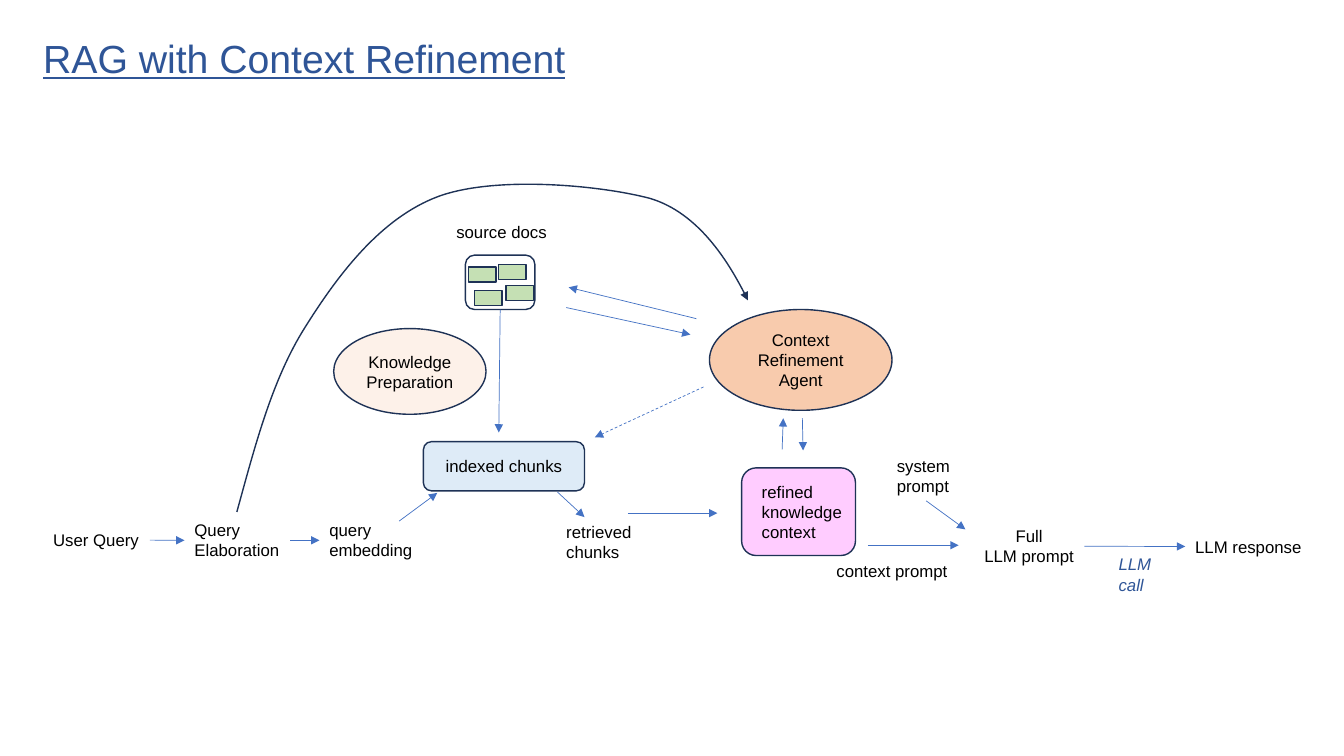
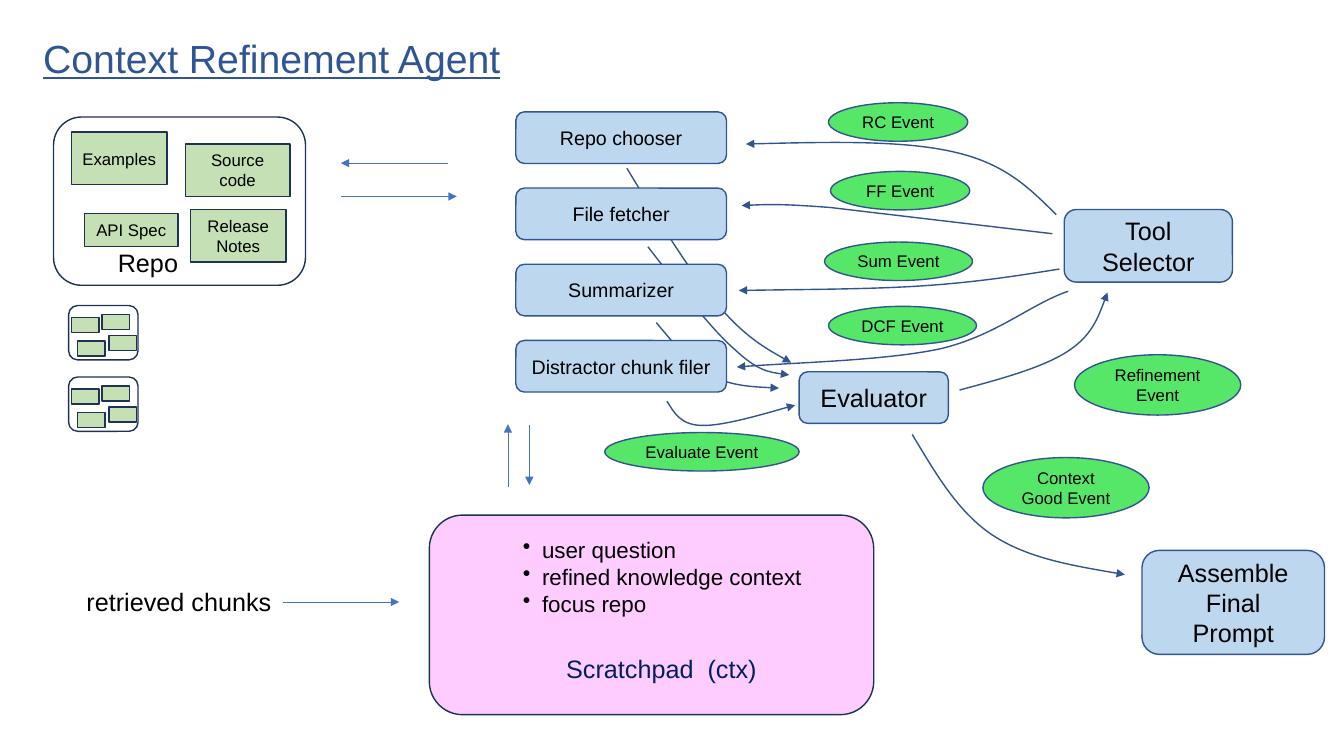
from lxml.etree import SubElement
from pptx import Presentation
from pptx.dml.color import RGBColor
from pptx.enum.dml import MSO_LINE
from pptx.enum.shapes import MSO_CONNECTOR, MSO_SHAPE as Preset
from pptx.enum.text import MSO_ANCHOR as Anchor, MSO_AUTO_SIZE as AutoSize, PP_ALIGN as Align
from pptx.oxml.ns import qn
from pptx.util import Cm, Pt

# Shared look
FONT = "Arial"
BLACK, NAVY, BLUE, ARROW, TITLE = "000000", "1E3256", "325491", "4472C4", "2F5597"
PINK, GREEN, SKY, EVENT = "FFCCFF", "C5E0B4", "BDD7EE", "57E768"
BOTTOM, LEFT, RIGHT = 2, 1, 3
ROUND, OVAL, RECT = Preset.ROUNDED_RECTANGLE, Preset.OVAL, Preset.RECTANGLE

# A small document stack: frame size, page size, page offsets (cm)
STACK_SIZE, PAGE_SIZE = (1.75, 1.37), (0.69, 0.38)
PAGE_OFFSETS = [(0.84, 0.23), (0.23, 0.89), (0.08, 0.3), (1.02, 0.76)]

# Slide 1: text, box (left, top, width, height in cm), format
FLOW_LABELS = [
    ("User Query", (1.09, 13.23, 2.69, 0.76), {}),
    ("Query\nElaboration", (4.65, 12.98, 2.67, 1.27), {}),
    ("query\nembedding", (8.05, 12.98, 2.62, 1.27), {}),
    ("retrieved\nchunks", (14.02, 13.03, 2.16, 1.27), {}),
    ("source docs", (11.25, 5.46, 2.82, 0.76), {}),
    ("Full\nLLM prompt", (24.54, 13.13, 2.79, 1.27), {"align": Align.CENTER}),
    ("system\nprompt", (22.35, 11.35, 1.98, 1.27), {}),
    ("LLM response", (29.87, 13.39, 3.2, 0.76), {}),
    ("context prompt", (20.83, 14, 3.33, 0.76), {}),
    ("LLM\ncall", (27.94, 13.84, 1.35, 1.27), {"color": TITLE, "italic": True}),
]
FLOW_SHAPES = [
    (ROUND, "indexed chunks", (10.67, 11.13, 4.06, 1.24), "DEEBF7", {}),
    (ROUND, "refined\nknowledge\ncontext", (18.69, 11.79, 2.87, 2.21), PINK,
     {"align": Align.LEFT, "margin": 0.4}),
    (OVAL, "Knowledge\nPreparation", (8.41, 8.28, 3.84, 2.16), "FDF1E9", {}),
    (OVAL, "Context\nRefinement\nAgent", (17.88, 7.8, 4.6, 2.54), "F8CBAD", {}),
]
FLOW_STACK = (11.73, 6.43)
# An arrow end is a point, or a part's text and the side it joins
FLOW_ARROWS = [
    (("User Query", RIGHT), ("Query\nElaboration", LEFT)),
    (("Query\nElaboration", RIGHT), ("query\nembedding", LEFT)),
    ((10.06, 13.13), (11.02, 12.42)),
    ((14.05, 12.4), (14.73, 13.03)),
    (("system\nprompt", BOTTOM), (24.33, 13.34)),
    (("Full\nLLM prompt", RIGHT), ("LLM response", LEFT)),
    (("stack", BOTTOM), (12.57, 10.9)),
    ((17.55, 8.03), (14.33, 7.24)),
    ((14.27, 7.75), (17.4, 8.43)),
    ((15.82, 12.93), (18.08, 12.93)),
    ((19.71, 11.33), (19.74, 10.54)),
    ((20.22, 10.54), (20.24, 11.35)),
    ((21.87, 13.74), (24.16, 13.74)),
]
HINT_ARROW = ((17.73, 9.75), (14.99, 11.02))
# Curves: start, then two control points and an end for each section
QUERY_CURVE = [(5.97, 12.9), (6.43, 11.23), (6.86, 9.55), (7.7, 8.23),
               (8.53, 6.91), (9.6, 5.49), (11.05, 4.95),
               (12.5, 4.42), (15.14, 4.67), (16.38, 5),
               (17.6, 5.36), (18.47, 6.78), (18.85, 7.57)]

# Slide 2
TOOLS = ["Repo chooser", "File fetcher", "Summarizer", "Distractor chunk filer"]
TOOL_LEFT, TOOL_TOP, TOOL_STEP, TOOL_SIZE = 13, 2.82, 1.92, (5.31, 1.3)
STAGES = [
    ("Evaluator", (20.14, 9.37, 3.76, 1.3)),
    ("Tool\nSelector", (26.82, 5.28, 4.24, 1.83)),
    ("Assemble\nFinal\nPrompt", (28.78, 13.87, 4.6, 2.62)),
]
EVENTS = [
    ("RC Event", (20.88, 2.59, 3.51, 0.97)),
    ("FF Event", (20.93, 4.32, 3.51, 0.97)),
    ("Sum Event", (20.78, 6.1, 3.73, 0.97)),
    ("DCF Event", (20.88, 7.72, 3.73, 0.97)),
    ("Evaluate Event", (15.24, 10.9, 4.9, 0.97)),
    ("Refinement\nEvent", (27.08, 8.94, 4.19, 1.52)),
    ("Context\nGood Event", (24.77, 11.53, 4.19, 1.52)),
]
REPO_BOX = (1.35, 2.95, 6.35, 4.24)
REPO_DOCS = [
    ("API Spec", (2.13, 5.38, 2.36, 0.84)),
    ("Release\nNotes", (4.8, 5.28, 2.41, 1.32)),
    ("Examples", (1.8, 3.33, 2.41, 1.32)),
    ("Source\ncode", (4.67, 3.63, 2.64, 1.32)),
]
REPO_STACKS = [(1.73, 7.7), (1.73, 9.5)]
SCRATCHPAD_BOX = (10.82, 12.98, 11.2, 5.03)
SCRATCHPAD_ITEMS = "user question\nrefined knowledge context\nfocus repo"
AGENT_LABELS = [
    (SCRATCHPAD_ITEMS, (12.93, 13.39, 8, 2.31), {"size": 16, "bullet": "•", "wrap": True}),
    ("Scratchpad  (ctx)", (14.02, 16.33, 5.36, 1.02), {"size": 18, "color": "002060"}),
    ("retrieved chunks", (1.93, 14.66, 5.21, 1.02), {"size": 18}),
    ("Repo", (2.72, 6.1, 2.06, 1.02), {"size": 18}),
]
AGENT_ARROWS = [
    (("retrieved chunks", RIGHT), (10.06, 15.17)),
    ((12.8, 12.27), (12.8, 10.69)),
    ((13.34, 10.72), (13.34, 12.22)),
    ((11.3, 4.11), (8.59, 4.11)),
    ((8.59, 4.95), (11.51, 4.95)),
]
EVALUATE_CURVES = [
    [(16.81, 10.11), (16.99, 10.41), (17.17, 10.72), (17.7, 10.72),
     (18.24, 10.74), (19.66, 10.31), (20.04, 10.21)],
    [(16.54, 8.13), (16.99, 8.66), (17.42, 9.22), (17.93, 9.47),
     (18.47, 9.75), (19.63, 9.78), (19.63, 9.78)],
    [(16.33, 6.22), (17.12, 7.24), (17.91, 8.28), (18.52, 8.81),
     (19.1, 9.35), (19.51, 9.4), (19.89, 9.45)],
    [(15.8, 4.24), (16.59, 5.56), (17.4, 6.86), (18.08, 7.67),
     (18.77, 8.48), (19.35, 8.81), (19.94, 9.14)],
]
EVENT_CURVES = [
    [(24.18, 9.83), (25.22, 9.55), (26.26, 9.27), (26.9, 8.86),
     (27.51, 8.46), (27.71, 7.92), (27.91, 7.37)],
    [(26.62, 5.41), (25.98, 4.78), (25.37, 4.14), (24.08, 3.84),
     (22.78, 3.53), (20.8, 3.58), (18.8, 3.63)],
    [(26.52, 5.89), (24.66, 5.67), (22.79, 5.45), (20.93, 5.23),
     (19.63, 5.13), (19.18, 5.16), (18.69, 5.18)],
    [(26.7, 6.78), (25.76, 6.93), (24.79, 7.09), (23.44, 7.19),
     (22.1, 7.29), (20.37, 7.29), (18.62, 7.32)],
    [(26.92, 7.34), (25.96, 7.67), (25.1, 8.46), (23.7, 8.79),
     (22.3, 9.09), (19.81, 9.14), (18.57, 9.25)],
    [(22.99, 10.95), (23.57, 11.91), (24.13, 12.9), (25.02, 13.49),
     (25.91, 14.07), (27.13, 14.27), (28.35, 14.48)],
]


def rgb(color):
    return RGBColor.from_string(color)


def write(frame, text, size=12, color=BLACK, align=Align.LEFT, italic=False,
          underline=False, bullet=None):
    """Fill a text frame, one paragraph a line."""
    for number, line in enumerate(text.split("\n")):
        paragraph = frame.add_paragraph() if number else frame.paragraphs[0]
        paragraph.alignment = align
        run = paragraph.add_run()
        run.text = line
        font = run.font
        font.name, font.size, font.color.rgb = FONT, Pt(size), rgb(color)
        font.italic, font.underline = italic, underline
        if bullet:
            properties = paragraph._p.get_or_add_pPr()
            properties.set("marL", str(Cm(0.48)))
            properties.set("indent", str(-Cm(0.48)))
            SubElement(properties, qn("a:buChar")).set("char", bullet)


def add_label(slide, text, box, wrap=False, **style):
    shape = slide.shapes.add_textbox(*map(Cm, box))
    shape.text_frame.word_wrap = wrap
    shape.text_frame.auto_size = AutoSize.SHAPE_TO_FIT_TEXT
    write(shape.text_frame, text, **style)
    return shape


def add_box(shapes, preset, box, fill=None, line=NAVY, text="", margin=0.1,
            align=Align.CENTER, **style):
    shape = shapes.add_shape(preset, *map(Cm, box))
    shape.shadow.inherit = False
    if fill:
        shape.fill.solid()
        shape.fill.fore_color.rgb = rgb(fill)
    else:
        shape.fill.background()
    shape.line.color.rgb, shape.line.width = rgb(line), Pt(1)
    if text:
        frame = shape.text_frame
        frame.word_wrap, frame.vertical_anchor = True, Anchor.MIDDLE
        frame.margin_left, frame.margin_right = Cm(margin), Cm(0.1)
        write(frame, text, align=align, **style)
    return shape


def add_stack(slide, origin):
    """Draw a rounded frame with four small pages, as one group."""
    left, top = origin
    shapes = slide.shapes.add_group_shape().shapes
    frame = add_box(shapes, ROUND, (*origin, *STACK_SIZE))
    for across, down in PAGE_OFFSETS:
        add_box(shapes, RECT, (left + across, top + down, *PAGE_SIZE), GREEN)
    return frame


def add_arrowhead(shape):
    outline = shape._element.spPr.find(qn("a:ln"))
    SubElement(outline, qn("a:tailEnd")).set("type", "triangle")


def add_arrow(slide, begin, end, parts, dashed=False):
    joined = [point[0] in parts for point in (begin, end)]
    points = [(0, 0) if is_joined else point
              for is_joined, point in zip(joined, (begin, end))]
    connector = slide.shapes.add_connector(
        MSO_CONNECTOR.STRAIGHT, *(Cm(value) for point in points for value in point))
    if joined[0]:
        connector.begin_connect(parts[begin[0]], begin[1])
    if joined[1]:
        connector.end_connect(parts[end[0]], end[1])
    connector.line.color.rgb, connector.line.width = rgb(ARROW), Pt(0.5)
    if dashed:
        connector.line.dash_style = MSO_LINE.DASH
    add_arrowhead(connector)
    SubElement(connector._element.spPr, qn("a:effectLst"))


def add_curve(slide, points, color=BLUE):
    """Draw a freeform, then turn each three of its points into a Bézier section."""
    start, *others = [(Cm(x), Cm(y)) for x, y in points]
    builder = slide.shapes.build_freeform(*start)
    builder.add_line_segments(others, close=False)
    shape = builder.convert_to_shape()
    shape.shadow.inherit = False
    shape.fill.background()
    shape.line.color.rgb, shape.line.width = rgb(color), Pt(1)
    add_arrowhead(shape)
    outline = next(shape._element.iter(qn("a:path")))
    segments = outline.findall(qn("a:lnTo"))
    for first in range(0, len(segments), 3):
        section = SubElement(outline, qn("a:cubicBezTo"))
        for segment in segments[first:first + 3]:
            section.append(segment[0])
            outline.remove(segment)


def add_slide(presentation, title, width):
    slide = presentation.slides.add_slide(presentation.slide_layouts[6])
    add_label(slide, title, (0.84, 0.74, width, 1.45), size=28, color=TITLE, underline=True)
    return slide


def build_flow(presentation):
    slide = add_slide(presentation, "RAG with Context Refinement", 13.84)
    parts = {text: add_label(slide, text, box, **style) for text, box, style in FLOW_LABELS}
    for preset, text, box, fill, style in FLOW_SHAPES:
        add_box(slide.shapes, preset, box, fill, text=text, **style)
    parts["stack"] = add_stack(slide, FLOW_STACK)
    for begin, end in FLOW_ARROWS:
        add_arrow(slide, begin, end, parts)
    add_arrow(slide, *HINT_ARROW, parts, dashed=True)
    add_curve(slide, QUERY_CURVE, NAVY)


def build_agent(presentation):
    slide = add_slide(presentation, "Context Refinement Agent", 12.17)
    shapes = slide.shapes
    # Curves that run behind the tools
    for points in EVALUATE_CURVES:
        add_curve(slide, points)
    # Tools, stages and events
    for row, text in enumerate(TOOLS):
        box = (TOOL_LEFT, TOOL_TOP + row * TOOL_STEP, *TOOL_SIZE)
        add_box(shapes, ROUND, box, SKY, BLUE, text, size=14)
    for text, box in STAGES:
        add_box(shapes, ROUND, box, SKY, BLUE, text, size=18)
    for text, box in EVENTS:
        add_box(shapes, OVAL, box, EVENT, BLUE, text)
    for points in EVENT_CURVES:
        add_curve(slide, points)
    # Repositories and scratchpad
    add_box(shapes, ROUND, REPO_BOX)
    for text, box in REPO_DOCS:
        add_box(shapes, RECT, box, GREEN, text=text)
    for origin in REPO_STACKS:
        add_stack(slide, origin)
    add_box(shapes, ROUND, SCRATCHPAD_BOX, PINK)
    parts = {text: add_label(slide, text, box, **style) for text, box, style in AGENT_LABELS}
    for begin, end in AGENT_ARROWS:
        add_arrow(slide, begin, end, parts)


def main():
    presentation = Presentation()
    presentation.slide_width, presentation.slide_height = Cm(33.87), Cm(19.05)
    build_flow(presentation)
    build_agent(presentation)
    presentation.save("out.pptx")


if __name__ == "__main__":
    main()
